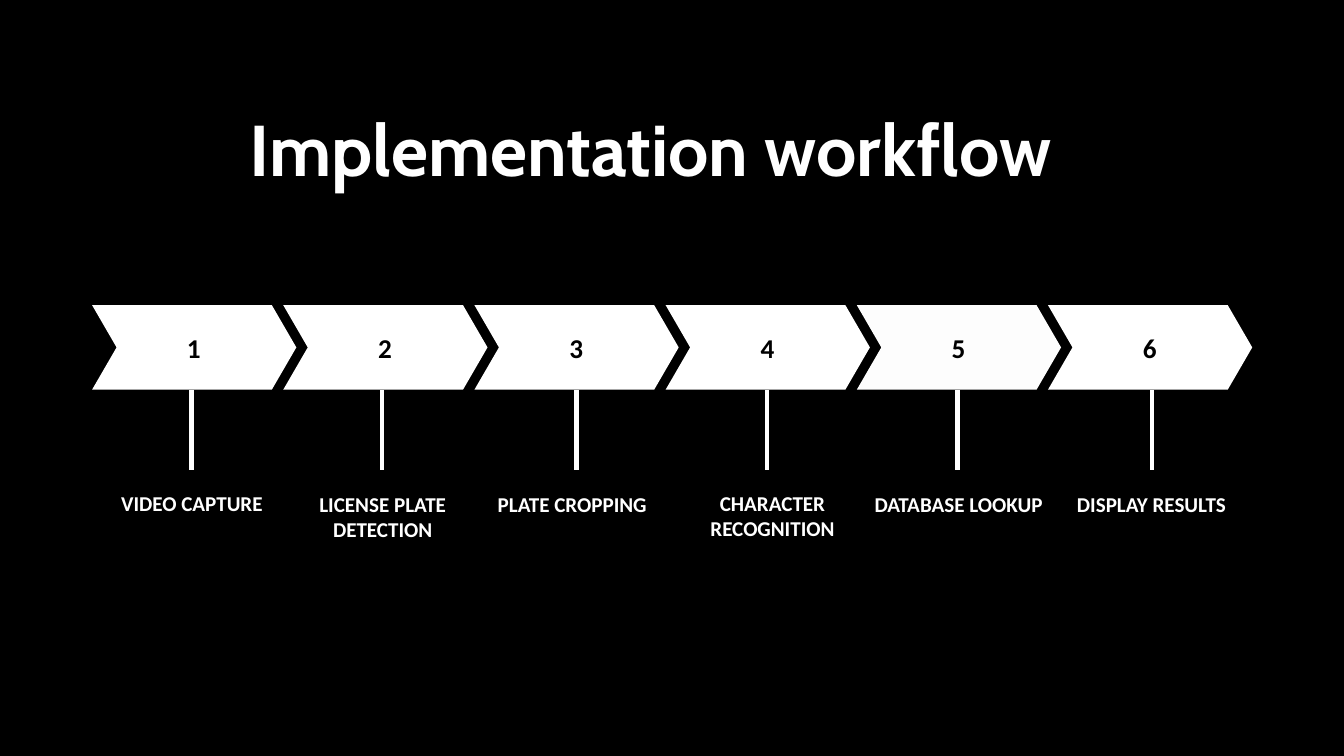
from lxml import etree
from pptx import Presentation
from pptx.dml.color import RGBColor
from pptx.enum.shapes import MSO_CONNECTOR, MSO_SHAPE
from pptx.enum.text import MSO_ANCHOR, MSO_AUTO_SIZE, PP_ALIGN
from pptx.oxml.ns import qn
from pptx.util import Inches, Pt

CHEVRON = MSO_SHAPE.CHEVRON
STRAIGHT = MSO_CONNECTOR.STRAIGHT
TOP = MSO_ANCHOR.TOP
CENTER = PP_ALIGN.CENTER
NO_AUTOSIZE = MSO_AUTO_SIZE.NONE

COLORS = {"background": "000000", "white": "FFFFFF", "soft": "FDFDFD", "number": "000000"}

TITLE = "Implementation workflow"
STEPS = [
    {"label": "VIDEO CAPTURE", "box": (1.6, 7.29, 2.51, 0.37), "stem": 2.85, "arrow": "white", "line": "soft"},
    {"label": "LICENSE PLATE DETECTION", "box": (4.44, 7.31, 2.51, 0.74), "stem": 5.69, "arrow": "white", "line": "soft"},
    {"label": "PLATE CROPPING", "box": (7.13, 7.31, 2.77, 0.37), "stem": 8.58, "arrow": "white", "line": "white"},
    {"label": "CHARACTER RECOGNITION", "box": (10.24, 7.29, 2.51, 0.74), "stem": 11.41, "arrow": "white", "line": "white"},
    {"label": "DATABASE LOOKUP", "box": (13.01, 7.31, 2.51, 0.74), "stem": 14.25, "arrow": "soft", "line": "white"},
    {"label": "DISPLAY RESULTS", "box": (15.88, 7.31, 2.51, 0.74), "stem": 17.14, "arrow": "white", "line": "white"},
]

TITLE_STYLE = {"font": {"name": "Cabin", "size": Pt(77), "bold": True}, "color": "white", "spacing": 107.8}
NUMBER_STYLE = {"font": {"name": "Calibri", "size": Pt(29.1), "bold": True}, "color": "number", "spacing": 34.9}
LABEL_STYLE = {"font": {"name": "Calibri", "size": Pt(22.6), "bold": True}, "color": "white", "spacing": 27.2}
FRAME_STYLE = {
    "margin_left": 0, "margin_top": 0, "margin_right": 0, "margin_bottom": 0,
    "word_wrap": True, "auto_size": NO_AUTOSIZE, "vertical_anchor": TOP,
}

ARROW_LEFT, ARROW_TOP, ARROW_WIDTH, ARROW_HEIGHT = 1.37, 4.54, 3.04, 1.26
ARROW_PITCH = 2.845
ARROW_POINT = 0.29
NUMBER_INSET, NUMBER_TOP, NUMBER_WIDTH, NUMBER_HEIGHT = 0.5, 4.93, 2.03, 0.47
STEM_TOP = ARROW_TOP + ARROW_HEIGHT
STEM_BOTTOM = 6.99


def color(name):
    return RGBColor.from_string(COLORS[name])


def set_attributes(target, values):
    for name, value in values.items():
        setattr(target, name, value)


def write_text(box, text, style):
    frame = box.text_frame
    set_attributes(frame, FRAME_STYLE)
    para = frame.paragraphs[0]
    para.alignment = CENTER
    para.line_spacing = Pt(style["spacing"])
    span = para.add_run()
    span.text = text
    set_attributes(span.font, style["font"])
    span.font.color.rgb = color(style["color"])


def add_text(page, position, text, style):
    box = page.shapes.add_textbox(*map(Inches, position))
    write_text(box, text, style)


def add_arrow(page, left, fill):
    arrow = page.shapes.add_shape(
        CHEVRON, *map(Inches, (left, ARROW_TOP, ARROW_WIDTH, ARROW_HEIGHT)))
    arrow.adjustments[0] = ARROW_POINT
    arrow.shadow.inherit = False
    arrow.fill.solid()
    arrow.fill.fore_color.rgb = color(fill)
    arrow.line.fill.background()


def add_stem(page, center, line):
    stem = page.shapes.add_connector(
        STRAIGHT, *map(Inches, (center, STEM_TOP, center, STEM_BOTTOM)))
    stem.line.color.rgb = color(line)
    stem.line.width = Pt(4.5)
    etree.SubElement(stem._element.spPr, qn("a:effectLst"))


def main():
    deck = Presentation()
    deck.slide_width, deck.slide_height = Inches(20), Inches(11.25)
    page = deck.slides.add_slide(deck.slide_layouts[5])
    page.background.fill.solid()
    page.background.fill.fore_color.rgb = color("background")

    title = page.shapes.title
    title.left, title.top, title.width, title.height = map(Inches, (1.85, 1.35, 15.67, 1.43))
    write_text(title, TITLE, TITLE_STYLE)

    for index, step in enumerate(STEPS):
        left = ARROW_LEFT + index * ARROW_PITCH
        number_box = (left + NUMBER_INSET, NUMBER_TOP, NUMBER_WIDTH, NUMBER_HEIGHT)
        add_arrow(page, left, step["arrow"])
        add_stem(page, step["stem"], step["line"])
        add_text(page, number_box, str(index + 1), NUMBER_STYLE)
        add_text(page, step["box"], step["label"], LABEL_STYLE)

    deck.save("out.pptx")


if __name__ == "__main__":
    main()
